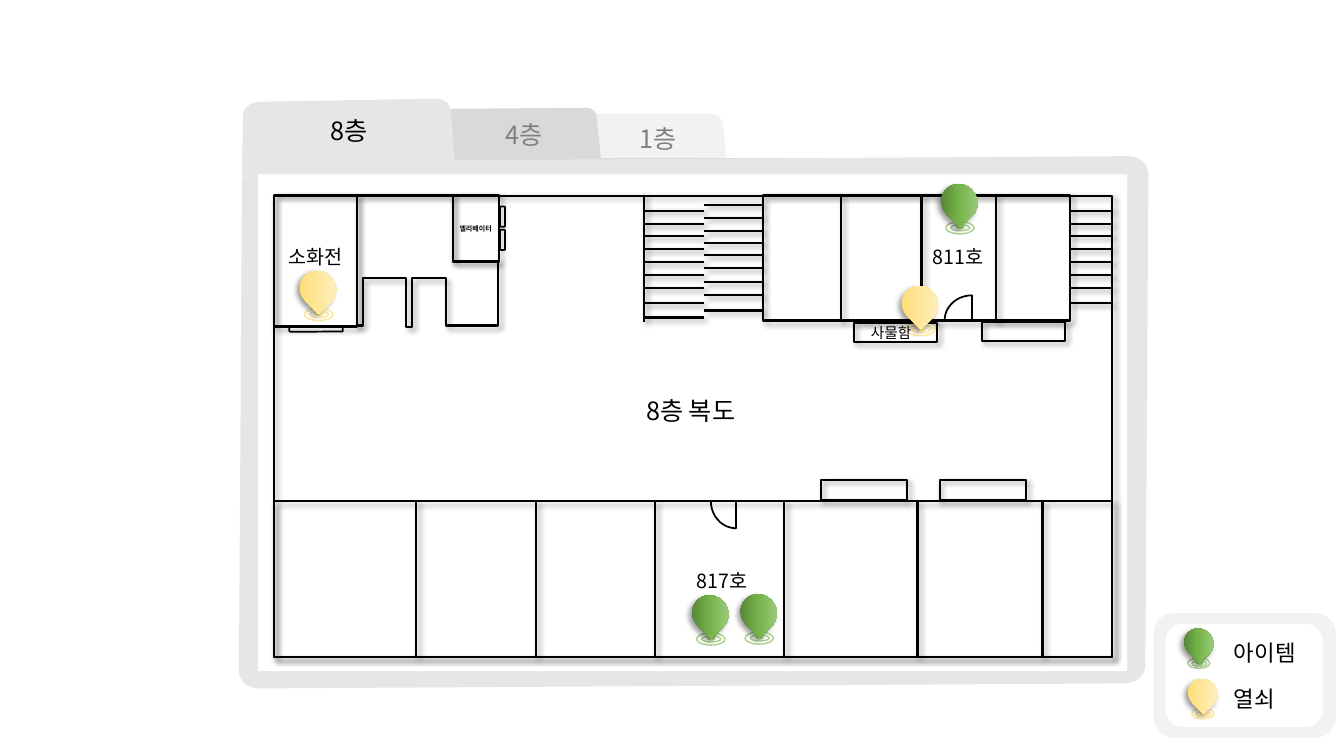
from copy import deepcopy
from dataclasses import dataclass
from typing import Optional

from lxml.etree import SubElement
from pptx import Presentation
from pptx.dml.color import RGBColor
from pptx.enum.shapes import MSO_CONNECTOR, MSO_SHAPE
from pptx.enum.text import MSO_AUTO_SIZE
from pptx.oxml.ns import qn
from pptx.util import Emu, Pt

EMU_PER_PX = 9144
CURVE_STEPS = 10
FONT = "Noto Sans CJK KR"
BLACK = RGBColor(0x00, 0x00, 0x00)
GRAY = RGBColor(0x80, 0x80, 0x80)
WHITE = RGBColor(0xFF, 0xFF, 0xFF)
PALE = RGBColor(0xF2, 0xF2, 0xF2)
SILVER = RGBColor(0xD9, 0xD9, 0xD9)
FOLDER = RGBColor(0xE7, 0xE6, 0xE6)
GREEN = (RGBColor(0x4B, 0x74, 0x30), RGBColor(0x74, 0xB3, 0x49), RGBColor(0xA9, 0xD1, 0x8E))
YELLOW = (RGBColor(0xFF, 0xD9, 0x66), RGBColor(0xFF, 0xE6, 0x99), RGBColor(0xFF, 0xF2, 0xCC))
GREEN_RING, YELLOW_RING = GREEN[2], YELLOW[1]


@dataclass
class Box:
    left: int
    top: int
    width: int
    height: int
    kind: MSO_SHAPE = MSO_SHAPE.RECTANGLE
    fill: Optional[RGBColor] = None
    line: Optional[RGBColor] = BLACK
    weight: float = 1.5
    shadow_angle: Optional[int] = 45


@dataclass
class Outline:
    start: tuple
    segments: tuple
    fill: Optional[RGBColor] = None
    weight: float = 1.25
    shadow_angle: Optional[int] = None


@dataclass
class Label:
    text: str
    left: int
    top: int
    width: int
    height: int
    size: float
    color: RGBColor = BLACK
    bold: bool = False


@dataclass
class Pin:
    left: int
    top: int
    gradient: tuple
    ring: RGBColor
    scale: float = 1.0


FOLDERS = (
    Outline((582, 113), ((705, 113), (711, 112, 716, 117, 717, 123), (721, 164), (945, 166),
            (942, 601), (587, 598), (580, 598, 573, 591, 573, 583), (570, 178), (571, 175),
            (570, 171), (570, 125), (570, 119, 576, 113, 582, 113)), PALE),
    Outline((579, 107), ((586, 106, 592, 110, 592, 117), (596, 157), (1118, 157),
            (1127, 157, 1134, 164, 1134, 172), (1133, 578), (1133, 586, 1127, 593, 1118, 593),
            (446, 593), (437, 593, 431, 586, 431, 578), (431, 173), (430, 167), (431, 120),
            (431, 114, 437, 108, 445, 108)), SILVER),
    Outline((430, 98), ((439, 97, 447, 102, 447, 110), (451, 159), (1119, 155),
            (1130, 155, 1139, 163, 1139, 173), (1136, 660), (1136, 670, 1127, 678, 1116, 678),
            (256, 683), (246, 683, 237, 675, 237, 665), (240, 178), (241, 175), (240, 171),
            (241, 115), (241, 107, 249, 101, 258, 101)), FOLDER),
)
DOORS_AND_LOBBY = (
    Outline((964, 293), ((964, 318), (937, 318), (937, 316), (938, 303, 950, 293, 964, 293))),
    Outline((705, 497), ((730, 497), (730, 524), (728, 524), (715, 523, 705, 511, 705, 497))),
    Outline((354, 194), ((449, 194), (449, 259), (494, 259), (494, 323), (442, 323), (442, 276),
            (409, 276), (409, 324), (403, 324), (403, 276), (360, 276), (360, 323), (354, 323)),
            weight=1.5, shadow_angle=45),
)
PAPER = Box(256, 173, 862, 493, fill=WHITE, line=None, shadow_angle=None)
ROOMS = (
    Box(272, 194, 831, 458), Box(757, 194, 304, 124), Box(272, 497, 831, 155),
    Box(449, 194, 46, 66), Box(272, 194, 82, 130),
)
LOCKERS = (
    Box(814, 476, 86, 20), Box(932, 476, 86, 20), Box(847, 320, 82, 19), Box(974, 319, 82, 19),
)
PANELS = tuple(
    Box(*place, kind=MSO_SHAPE.ROUNDED_RECTANGLE, weight=1.25, shadow_angle=None)
    for place in ((287, 324, 53, 5), (496, 228, 5, 20), (496, 205, 5, 20))
)
LEGEND_FRAMES = tuple(
    Box(*place, kind=MSO_SHAPE.ROUNDED_RECTANGLE, fill=fill, line=None, shadow_angle=None)
    for *place, fill in ((1144, 608, 181, 124, PALE), (1156, 619, 156, 102, WHITE))
)
STEPS = (209, 222, 234, 247, 260, 273, 286, 301)
MIDDLE_STEPS = (203, 216, 229, 241, 253, 266, 280, 293, 308)
STAIRS = ((1061, 1103, STEPS), (639, 698, STEPS + (315,)), (698, 757, MIDDLE_STEPS))
WALLS = ((193, 319, (639, 834, 914, 988)), (497, 652, (413, 532, 650, 778, 910, 1034)))
PINS = (
    Pin(687, 590, GREEN, GREEN_RING), Pin(934, 182, GREEN, GREEN_RING),
    Pin(298, 268, YELLOW, YELLOW_RING), Pin(895, 283, YELLOW, YELLOW_RING),
    Pin(735, 589, GREEN, GREEN_RING),
)
LEGEND_PINS = (
    Pin(1179, 673, YELLOW, YELLOW_RING, 0.8), Pin(1175, 623, GREEN, GREEN_RING, 0.8),
)
RINGS = ((4, 38, 28, 12, False), (9, 41, 19, 6, False), (15, 42, 7, 3, True))
LABELS = (
    Label("소화전", 276, 238, 79, 34, 14), Label("엘리베이터", 446, 218, 56, 19, 5, bold=True),
    Label("811호", 915, 238, 80, 34, 14), Label("817호", 681, 559, 80, 34, 14),
    Label("8층", 318, 109, 69, 40, 18), Label("8층 복도", 631, 387, 126, 40, 18),
    Label("4층", 492, 113, 69, 40, 18, GRAY), Label("1층", 624, 117, 69, 40, 18, GRAY),
    Label("사물함", 854, 316, 66, 28, 10.5),
    Label("아이템", 1214, 629, 101, 37, 16), Label("열쇠", 1214, 675, 101, 37, 16),
)


def px(length: float) -> Emu:
    """Turn px into EMU."""
    return Emu(round(length * EMU_PER_PX))


def add_shadow(effects, angle: int) -> None:
    """Put a soft outer shadow into an effect list."""
    shadow = SubElement(effects, qn("a:outerShdw"), blurRad="50800", dist="38100",
                        dir=str(angle * 60000), algn="tl", rotWithShape="0")
    color = SubElement(shadow, qn("a:srgbClr"), val=str(BLACK))
    SubElement(color, qn("a:alpha"), val="40000")


def style(shape, fill, line, weight: float, shadow_angle: Optional[int]) -> None:
    """Set the fill, line and shadow of a shape."""
    if fill is None:
        shape.fill.background()
    else:
        shape.fill.solid()
        shape.fill.fore_color.rgb = fill
    if line is None:
        shape.line.fill.background()
    else:
        shape.line.color.rgb = line
        shape.line.width = Pt(weight)
    shape.shadow.inherit = False
    if shadow_angle is not None:
        add_shadow(shape._element.spPr.find(qn("a:effectLst")), shadow_angle)


def draw_box(shapes, box: Box):
    """Draw a preset shape."""
    shape = shapes.add_shape(box.kind, px(box.left), px(box.top), px(box.width), px(box.height))
    style(shape, box.fill, box.line, box.weight, box.shadow_angle)
    return shape


def draw_outline(shapes, outline: Outline) -> None:
    """Draw a closed outline of straight and cubic segments."""
    points = [outline.start]
    for segment in outline.segments:
        if len(segment) == 2:
            points.append(segment)
            continue
        curve = (points[-1], segment[:2], segment[2:4], segment[4:])
        for step in range(1, CURVE_STEPS + 1):
            t = step / CURVE_STEPS
            weights = ((1 - t) ** 3, 3 * t * (1 - t) ** 2, 3 * t * t * (1 - t), t ** 3)
            points.append(tuple(sum(w * p[axis] for w, p in zip(weights, curve))
                                for axis in (0, 1)))
    corners = [(px(x), px(y)) for x, y in points]
    builder = shapes.build_freeform(*corners[0])
    builder.add_line_segments(corners[1:], close=True)
    line = BLACK if outline.fill is None else None
    style(builder.convert_to_shape(), outline.fill, line, outline.weight, outline.shadow_angle)


def draw_wall(shapes, x1: int, y1: int, x2: int, y2: int) -> None:
    """Draw a straight shadowed line."""
    wall = shapes.add_connector(MSO_CONNECTOR.STRAIGHT, px(x1), px(y1), px(x2), px(y2))
    wall.line.color.rgb = BLACK
    wall.line.width = Pt(1.5)
    add_shadow(SubElement(wall._element.spPr, qn("a:effectLst")), 45)


def draw_pin(shapes, pin: Pin) -> None:
    """Draw a map pin standing on its rings."""
    for left, top, width, height, filled in RINGS:
        draw_box(shapes, Box(
            pin.left + round(left * pin.scale), pin.top + round(top * pin.scale),
            round(width * pin.scale), round(height * pin.scale), MSO_SHAPE.OVAL,
            pin.ring if filled else None, pin.ring, 1, None))
    drop = draw_box(shapes, Box(pin.left, pin.top, round(35 * pin.scale), round(37 * pin.scale),
                                MSO_SHAPE.TEAR, line=None, shadow_angle=135))
    drop.rotation = 135
    drop.fill.gradient()
    drop.fill.gradient_angle = 135
    stops = drop._element.spPr.find(qn("a:gradFill")).find(qn("a:gsLst"))
    stops.append(deepcopy(stops[0]))
    for stop, color, position in zip(drop.fill.gradient_stops, pin.gradient, (0, 0.48, 1)):
        stop.color.rgb = color
        stop.position = position


def draw_label(shapes, label: Label) -> None:
    """Write one line of text."""
    frame = shapes.add_textbox(px(label.left), px(label.top),
                               px(label.width), px(label.height)).text_frame
    frame.word_wrap = True
    frame.auto_size = MSO_AUTO_SIZE.SHAPE_TO_FIT_TEXT
    run = frame.paragraphs[0].add_run()
    run.text = label.text
    formats = {"name": FONT, "size": Pt(label.size), "bold": label.bold}
    for attribute, value in formats.items():
        setattr(run.font, attribute, value)
    run.font.color.rgb = label.color
    SubElement(run._r.get_or_add_rPr(), qn("a:ea"), typeface=FONT)


def main() -> None:
    """Build the floor map slide."""
    presentation = Presentation()
    presentation.slide_width, presentation.slide_height = px(1333), px(750)
    shapes = presentation.slides.add_slide(presentation.slide_layouts[6]).shapes
    for folder in FOLDERS:
        draw_outline(shapes, folder)
    for box in (PAPER, *ROOMS, *PANELS, *LOCKERS):
        draw_box(shapes, box)
    for left, right, steps in STAIRS:
        for y in steps:
            draw_wall(shapes, left, y, right, y)
    for top, bottom, walls in WALLS:
        for x in walls:
            draw_wall(shapes, x, top, x, bottom)
    for outline in DOORS_AND_LOBBY:
        draw_outline(shapes, outline)
    for pin in PINS:
        draw_pin(shapes, pin)
    for frame in LEGEND_FRAMES:
        draw_box(shapes, frame)
    for pin in LEGEND_PINS:
        draw_pin(shapes, pin)
    for label in LABELS:
        draw_label(shapes, label)
    presentation.save("out.pptx")


if __name__ == "__main__":
    main()
